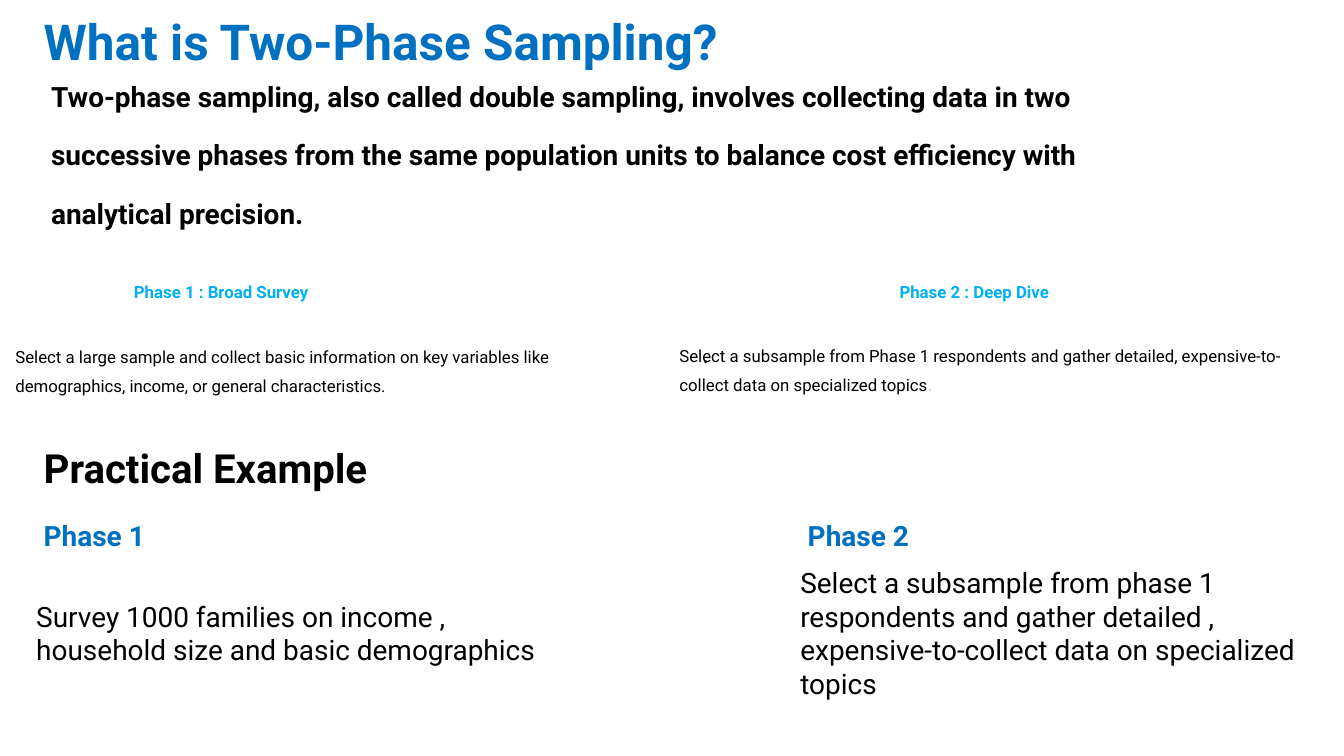
from pptx import Presentation
from pptx.dml.color import RGBColor
from pptx.enum.shapes import MSO_SHAPE
from pptx.enum.text import MSO_ANCHOR, MSO_AUTO_SIZE, PP_ALIGN
from pptx.oxml.ns import qn
from pptx.util import Cm, Pt

RECT = MSO_SHAPE.RECTANGLE
TOP, MIDDLE = MSO_ANCHOR.TOP, MSO_ANCHOR.MIDDLE
LEFT, CENTER = PP_ALIGN.LEFT, PP_ALIGN.CENTER
FIXED = MSO_AUTO_SIZE.NONE

BLACK, WHITE, BLUE, SKY, GREY = "000000", "FFFFFF", "0070C0", "00B0F0", "E0D6DE"
STEP = 28.88


def color(code):
    return RGBColor.from_string(code)


def write(para, text, size=18, bold=False, fill=BLACK, face="Roboto"):
    run = para.add_run()
    run.text = text
    font = run.font
    font.name, font.size, font.bold = face, Pt(size), bold
    font.color.rgb = color(fill)


class Deck:
    def __init__(self):
        self.prs = Presentation()
        self.prs.slide_width, self.prs.slide_height = Cm(50.8), Cm(28.58)
        self.slide = self.prs.slides.add_slide(self.prs.slide_layouts[1])

    def frame(self, shape, pad=(0, 0), anchor=TOP, wrap=True):
        frame = shape.text_frame
        frame.auto_size = FIXED
        frame.word_wrap = wrap
        frame.vertical_anchor = anchor
        frame.margin_left = frame.margin_right = Cm(pad[0])
        frame.margin_top = frame.margin_bottom = Cm(pad[1])
        return frame

    def fill(self, frame, lines, lead=None, gap=0, align=LEFT, **style):
        for i, line in enumerate(lines):
            para = frame.add_paragraph() if i else frame.paragraphs[0]
            para.alignment = align
            para.space_before = Pt(gap if i else 0)
            if lead:
                para.line_spacing = Pt(lead)
            write(para, line, **style)
        return para

    def place(self, shape, box):
        shape.left, shape.top, shape.width, shape.height = map(Cm, box)

    def title(self, text, box, **style):
        shape = self.slide.shapes.title
        self.place(shape, box)
        self.fill(self.frame(shape, wrap=False), [text], **style)

    def body(self, lines, box, **style):
        shape = self.slide.placeholders[1]
        self.place(shape, box)
        frame = self.frame(shape)
        self.fill(frame, lines, **style)
        for para in frame.paragraphs:
            props = para._p.get_or_add_pPr()
            props.set("marL", "0")
            props.set("indent", "0")
            props.append(props.makeelement(qn("a:buNone"), {}))

    def text(self, text, box, wrap=True, **style):
        shape = self.slide.shapes.add_textbox(*map(Cm, box))
        return self.fill(self.frame(shape, wrap=wrap), [text], **style)

    def card(self, text, box, **style):
        shape = self.slide.shapes.add_shape(RECT, *map(Cm, box))
        shape.shadow.inherit = False
        shape.fill.solid()
        shape.fill.fore_color.rgb = color(WHITE)
        shape.line.fill.background()
        self.fill(self.frame(shape, (0.38, 0.18), MIDDLE), [text], **style)


def main():
    deck = Deck()
    deck.title("What is Two-Phase Sampling?", (1.65, 0.36, 25.5, 2.34),
               lead=65.2, size=53, bold=True, fill=BLUE)
    deck.body(["Two-phase sampling, also called double sampling, involves collecting data in two",
               "successive phases from the same population units to balance cost efficiency with",
               "analytical precision."],
              (1.93, 3.15, 48.06, 4.47), lead=31.5, gap=31.5, size=30, bold=True)

    for text, left, width in (("Phase 1 : Broad Survey", 2.67, 11.38),
                              ("Phase 2 : Deep Dive", 31.95, 9.75)):
        deck.card(text, (left, 9.68, width, 2.69), align=CENTER, bold=True, fill=SKY)

    deck.text("Select a large sample and collect basic information on key variables like "
              "demographics, income, or general characteristics.",
              (0.58, 12.75, 23.65, 4.47), lead=31.5)
    deck.text(".", (26.59, 12.75, 23.65, 4.47), lead=31.5, bold=True)
    para = deck.text("Select a subsample from Phase 1 respondents and gather detailed, "
                     "expensive-to-collect data on specialized topics",
                     (25.68, 12.73, 24.56, 3.48), lead=31.5)
    write(para, ".", size=20, fill=GREY, face="Inter")

    deck.text("Practical Example", (1.65, 17.22, 11.18, 1.4), wrap=False,
              lead=39, size=43, bold=True)
    cases = ("Survey 1000 families on income , household size and basic demographics",
             "Select a subsample from phase 1 respondents and gather detailed , "
             "expensive-to-collect data on specialized topics")
    for i, case in enumerate(cases):
        shift = i * STEP
        deck.text(f"Phase {i + 1}", (1.65 + shift, 19.74, 9.32, 1.17), wrap=False,
                  lead=32.2, size=30, bold=True, fill=BLUE)
        deck.card(case, (0.99 + shift, 21.69, 19.94, 4.47), size=30)

    deck.prs.save("out.pptx")


if __name__ == "__main__":
    main()
